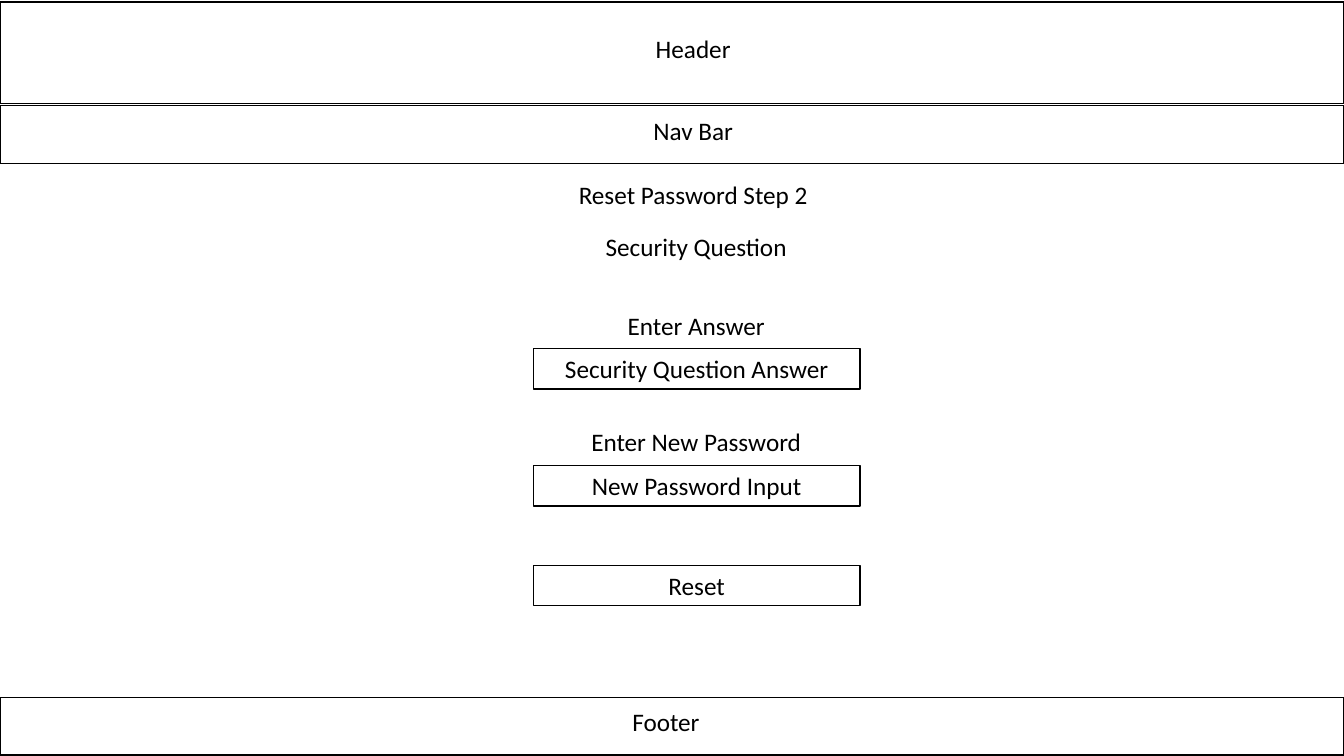
from dataclasses import dataclass

from pptx import Presentation
from pptx import util as u
from pptx.dml.color import RGBColor
from pptx.enum import shapes, text

EMU_PER_PX = 9144  # 100 px to the inch


def px(length):
    return u.Emu(length * EMU_PER_PX)


@dataclass(frozen=True)
class Theme:
    ink: RGBColor = RGBColor(0, 0, 0)
    font: str = "Calibri"
    body: u.Pt = u.Pt(18)
    outline: u.Pt = u.Pt(1)


class Wireframe:
    def __init__(self, page, theme):
        self.page = page
        self.theme = theme

    def set_words(self, shape, words, **frame_format):
        frame = shape.text_frame
        for name, value in frame_format.items():
            setattr(frame, name, value)
        para = frame.paragraphs[0]
        para.alignment = text.PP_ALIGN.CENTER
        span = para.add_run()
        span.text = words
        font_format = {"name": self.theme.font, "size": self.theme.body}
        for name, value in font_format.items():
            setattr(span.font, name, value)
        span.font.color.rgb = self.theme.ink

    def box(self, left, top, width, height, words=None):
        """Draw an unfilled, outlined rectangle, with centred words if given."""
        box = self.page.shapes.add_shape(
            shapes.MSO_SHAPE.RECTANGLE, *map(px, (left, top, width, height)))
        box.shadow.inherit = False
        box.fill.background()
        box.line.color.rgb = self.theme.ink
        box.line.width = self.theme.outline
        if words:
            self.set_words(box, words, word_wrap=True,
                           vertical_anchor=text.MSO_ANCHOR.MIDDLE)

    def label(self, left, top, width, height, words):
        label = self.page.shapes.add_textbox(
            *map(px, (left, top, width, height)))
        self.set_words(label, words, word_wrap=True,
                       auto_size=text.MSO_AUTO_SIZE.SHAPE_TO_FIT_TEXT)


PAGE_WIDTH, PAGE_HEIGHT = 1333, 750
LABEL_WIDTH, ROW_HEIGHT = 587, 40
FIELD_LEFT, FIELD_WIDTH = 529, 324

# words, band top, band height, label left, label top
BANDS = [
    ("Header", 2, 101, 394, 28),
    ("Nav Bar", 105, 57, 394, 109),
    ("Footer", 692, 57, 367, 696),
]
# words, left, top
LABELS = [
    ("Reset Password Step 2", 394, 173),
    ("Security Question", 397, 225),
    ("Enter Answer", 397, 303),
    ("Enter New Password", 397, 418),
]
# words, top
FIELDS = [
    ("Security Question Answer", 346),
    ("New Password Input", 462),
    ("Reset", 561),
]


def main():
    deck = Presentation()
    deck.slide_width, deck.slide_height = px(PAGE_WIDTH), px(PAGE_HEIGHT)
    wireframe = Wireframe(deck.slides.add_slide(deck.slide_layouts[6]), Theme())

    for words, top, height, label_left, label_top in BANDS:
        wireframe.box(0, top, PAGE_WIDTH, height)
        wireframe.label(label_left, label_top, LABEL_WIDTH, ROW_HEIGHT, words)
    for words, left, top in LABELS:
        wireframe.label(left, top, LABEL_WIDTH, ROW_HEIGHT, words)
    for words, top in FIELDS:
        wireframe.box(FIELD_LEFT, top, FIELD_WIDTH, ROW_HEIGHT, words)

    deck.save("out.pptx")


if __name__ == "__main__":
    main()
